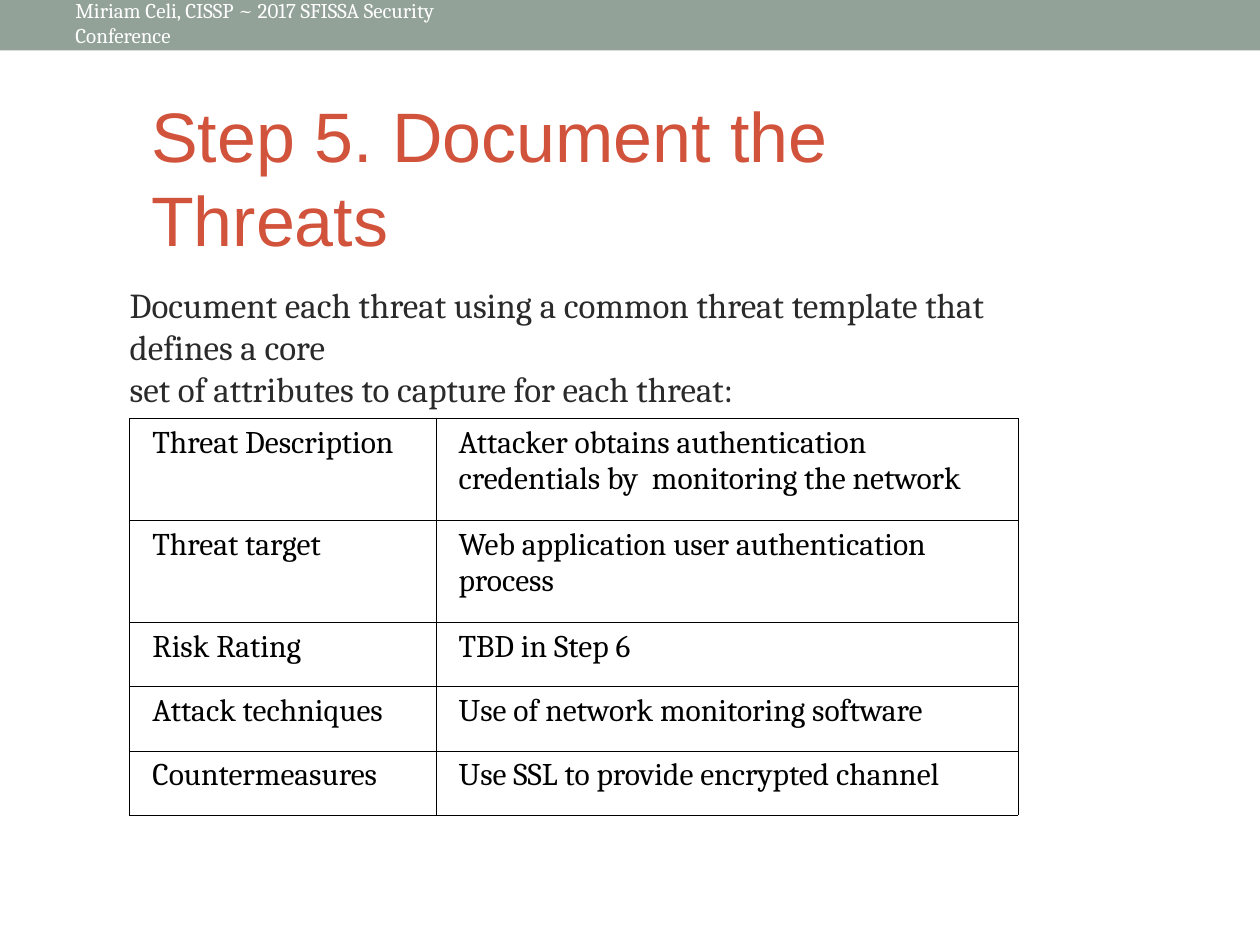
"""Build the threat documentation slide with its attribute table."""
from pptx import Presentation
from pptx.dml.color import RGBColor
from pptx.enum.shapes import MSO_SHAPE
from pptx.enum.text import MSO_ANCHOR, MSO_AUTO_SIZE, PP_ALIGN
from pptx.oxml import parse_xml
from pptx.oxml.ns import nsdecls
from pptx.util import Inches, Pt

TITLE = "Step 5. Document the Threats"
HEADER = "Miriam Celi, CISSP ~ 2017 SFISSA Security Conference"
INTRO = [
    "Document each threat using a common threat template that defines a core",
    "set of attributes to capture for each threat:",
]
THREAT = [
    ("Threat Description", "Attacker obtains authentication credentials by  monitoring the network"),
    ("Threat target", "Web application user authentication process"),
    ("Risk Rating", "TBD in Step 6"),
    ("Attack techniques", "Use of network monitoring software"),
    ("Countermeasures", "Use SSL to provide encrypted channel"),
]
COL_WIDTHS = [2.43, 4.62]
ROW_HEIGHTS = [0.81, 0.81, 0.51, 0.51, 0.51]

THEME = {
    "bar": "93A299",
    "border": "000000",
    "border_width": 0.45,
    "title": ("Arial", 40, "D2533C"),
    "header": ("Cambria", 12, "FFFFFF"),
    "intro": ("Cambria", 20, "2A2A2A"),
    "cell": ("Cambria", 18, "000000"),
}


def write(tf, lines, style, margins, anchor):
    """Fill a text frame with one styled paragraph per line."""
    name, size, color = THEME[style]
    tf.text = "\n".join(lines)
    tf.word_wrap = True
    tf.auto_size = MSO_AUTO_SIZE.NONE
    tf.vertical_anchor = anchor
    tf.margin_left, tf.margin_top, tf.margin_right, tf.margin_bottom = map(Inches, margins)
    for p in tf.paragraphs:
        p.alignment = PP_ALIGN.LEFT
        for r in p.runs:
            r.font.name = name
            r.font.size = Pt(size)
            r.font.color.rgb = RGBColor.from_string(color)


def place(sp, left, top, width, height):
    """Set the position and size of a shape."""
    sp.left, sp.top, sp.width, sp.height = map(Inches, (left, top, width, height))


def add_text(s, box, *text):
    """Add a text box and write into it."""
    sp = s.shapes.add_textbox(*map(Inches, box))
    write(sp.text_frame, *text)


def format_cell(cell, text):
    """Write a table cell with thin borders and no fill."""
    cell.text = text
    cell.margin_left = Inches(0.18)
    name, size, color = THEME["cell"]
    font = cell.text_frame.paragraphs[0].runs[0].font
    font.name, font.size = name, Pt(size)
    font.color.rgb = RGBColor.from_string(color)
    tcPr = cell._tc.get_or_add_tcPr()
    for side in ("lnL", "lnR", "lnT", "lnB"):
        tcPr.append(parse_xml(
            f'<a:{side} {nsdecls("a")} w="{Pt(THEME["border_width"])}"><a:solidFill>'
            f'<a:srgbClr val="{THEME["border"]}"/></a:solidFill></a:{side}>'))
    cell.fill.background()


def add_threat_table(s):
    """Add the table of threat attributes."""
    frame = s.shapes.add_table(
        len(THREAT), len(COL_WIDTHS), Inches(1.03), Inches(3.32),
        Inches(sum(COL_WIDTHS)), Inches(sum(ROW_HEIGHTS)))
    table = frame.table
    table.first_row = table.horz_banding = False
    for col, width in zip(table.columns, COL_WIDTHS):
        col.width = Inches(width)
    for row, height, texts in zip(table.rows, ROW_HEIGHTS, THREAT):
        row.height = Inches(height)
        for cell, text in zip(row.cells, texts):
            format_cell(cell, text)


def main():
    """Build and save the slide."""
    prs = Presentation()
    prs.slide_width, prs.slide_height = Inches(10), Inches(7.5)
    s = prs.slides.add_slide(prs.slide_layouts[5])

    bar = s.shapes.add_shape(MSO_SHAPE.RECTANGLE, 0, 0, prs.slide_width, Inches(0.4))
    bar.shadow.inherit = False
    bar.fill.solid()
    bar.fill.fore_color.rgb = RGBColor.from_string(THEME["bar"])
    bar.line.fill.background()

    padded = (0.1, 0.01, 0.1, 0.05)
    place(s.shapes.title, 1.1, 1.04, 6.25, 0.76)
    write(s.shapes.title.text_frame, [TITLE], "title", padded, MSO_ANCHOR.MIDDLE)
    add_text(s, (0.5, 0.02, 3.17, 0.36), [HEADER], "header", padded, MSO_ANCHOR.MIDDLE)
    add_text(s, (1.02, 2.24, 7.17, 1.02), INTRO, "intro", (0.01, 0.01, 0, 0), MSO_ANCHOR.TOP)
    add_threat_table(s)
    prs.save("out.pptx")


if __name__ == "__main__":
    main()
